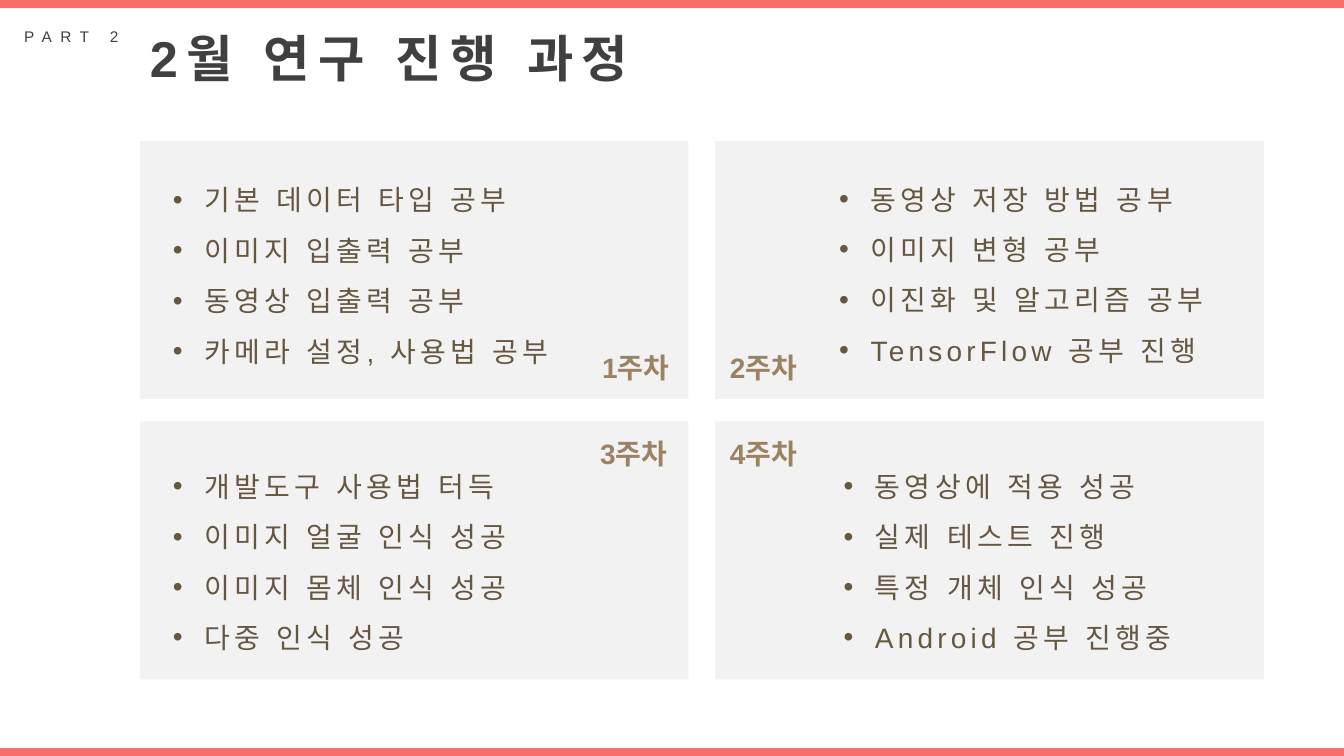
"""Build the slide that reports the February research progress week by week."""
from lxml.etree import SubElement
from pptx import Presentation
from pptx.dml.color import RGBColor
from pptx.enum.shapes import MSO_SHAPE
from pptx.enum.text import MSO_AUTO_SIZE, PP_ALIGN
from pptx.oxml.ns import qn
from pptx.util import Cm, Pt

TITLE = "2월 연구 진행 과정"
PART = "PART 2"
WEEKS = [
    {"label": "1주차", "label_at": (12.93, 8.71), "list_box": (4.11, 4.06, 10.72), "wrap": False,
     "tasks": ["기본 데이터 타입 공부", "이미지 입출력 공부", "동영상 입출력 공부", "카메라 설정, 사용법 공부"]},
    {"label": "2주차", "label_at": (16.15, 8.71), "list_box": (20.9, 4.04, 10.41), "wrap": False,
     "tasks": ["동영상 저장 방법 공부", "이미지 변형 공부", "이진화 및 알고리즘 공부", "TensorFlow 공부 진행"]},
    {"label": "3주차", "label_at": (12.88, 10.87), "list_box": (4.11, 11.28, 9.91), "wrap": False,
     "tasks": ["개발도구 사용법 터득", "이미지 얼굴 인식 성공", "이미지 몸체 인식 성공", "다중 인식 성공"]},
    {"label": "4주차", "label_at": (16.15, 10.87), "list_box": (21.01, 11.28, 10.39), "wrap": True,
     "tasks": ["동영상에 적용 성공", "실제 테스트 진행", "특정 개체 인식 성공", "Android 공부 진행중"]},
]

FONT = "Arial"
CORAL, PANEL, DARK, BROWN, TAN = "F86F6C", "F2F2F2", "404040", "665741", "9A8362"
SLIDE_WIDTH, SLIDE_HEIGHT, BAR_HEIGHT = 33.87, 19.05, 0.2
PANEL_LEFT, PANEL_TOP, PANEL_WIDTH, PANEL_HEIGHT = 3.53, 3.56, 13.82, 6.5
COLUMN_GAP, ROW_GAP = 0.68, 0.56
LABEL_SIZE = (4.19, 1.11)
LIST_HEIGHT, BULLET_INDENT = 5.23, 0.79


def color(hex_value):
    return RGBColor.from_string(hex_value)


def add_rectangle(slide, left, top, width, height, fill):
    shape = slide.shapes.add_shape(MSO_SHAPE.RECTANGLE, Cm(left), Cm(top), Cm(width), Cm(height))
    shape.shadow.inherit = False
    shape.fill.solid()
    shape.fill.fore_color.rgb = color(fill)
    shape.line.fill.background()


def add_bullet(paragraph):
    properties = paragraph._p.get_or_add_pPr()
    properties.set("marL", str(Cm(BULLET_INDENT)))
    properties.set("indent", str(-Cm(BULLET_INDENT)))
    SubElement(properties, qn("a:buFont")).set("typeface", FONT)
    SubElement(properties, qn("a:buChar")).set("char", "•")


def add_text(slide, box, lines, size, text_color, bold=False, tracking=0,
             wrap=False, align=PP_ALIGN.LEFT, bullets=False):
    frame = slide.shapes.add_textbox(*map(Cm, box)).text_frame
    frame.word_wrap = wrap
    frame.auto_size = MSO_AUTO_SIZE.SHAPE_TO_FIT_TEXT
    for index, line in enumerate(lines):
        paragraph = frame.add_paragraph() if index else frame.paragraphs[0]
        paragraph.alignment = align
        if bullets:
            paragraph.line_spacing = 1.5
            add_bullet(paragraph)
        font = paragraph.font
        font.name, font.size, font.bold = FONT, Pt(size), bold
        font.color.rgb = color(text_color)
        run = paragraph.add_run()
        run.text = line
        run_properties = run._r.get_or_add_rPr()
        SubElement(run_properties, qn("a:ea")).set("typeface", FONT)
        if tracking:
            run_properties.set("spc", str(tracking * 100))


def main():
    presentation = Presentation()
    presentation.slide_width, presentation.slide_height = Cm(SLIDE_WIDTH), Cm(SLIDE_HEIGHT)
    slide = presentation.slides.add_slide(presentation.slide_layouts[6])

    for top in (0, SLIDE_HEIGHT - BAR_HEIGHT):
        add_rectangle(slide, 0, top, SLIDE_WIDTH, BAR_HEIGHT, CORAL)
    add_text(slide, (3.53, 0.56, 13.61, 1.8), [TITLE], 36, DARK, bold=True, tracking=6)
    add_text(slide, (0.36, 0.56, 3.18, 0.73), [PART], 11, DARK, tracking=6)

    for index in range(len(WEEKS)):
        row, column = divmod(index, 2)
        left = PANEL_LEFT + column * (PANEL_WIDTH + COLUMN_GAP)
        top = PANEL_TOP + row * (PANEL_HEIGHT + ROW_GAP)
        add_rectangle(slide, left, top, PANEL_WIDTH, PANEL_HEIGHT, PANEL)

    for week in WEEKS:
        add_text(slide, (*week["list_box"], LIST_HEIGHT), week["tasks"], 20, BROWN,
                 tracking=3, wrap=week["wrap"], bullets=True)
        add_text(slide, (*week["label_at"], *LABEL_SIZE), [week["label"]], 20, TAN,
                 bold=True, wrap=True, align=PP_ALIGN.RIGHT)

    presentation.save("out.pptx")


if __name__ == "__main__":
    main()
